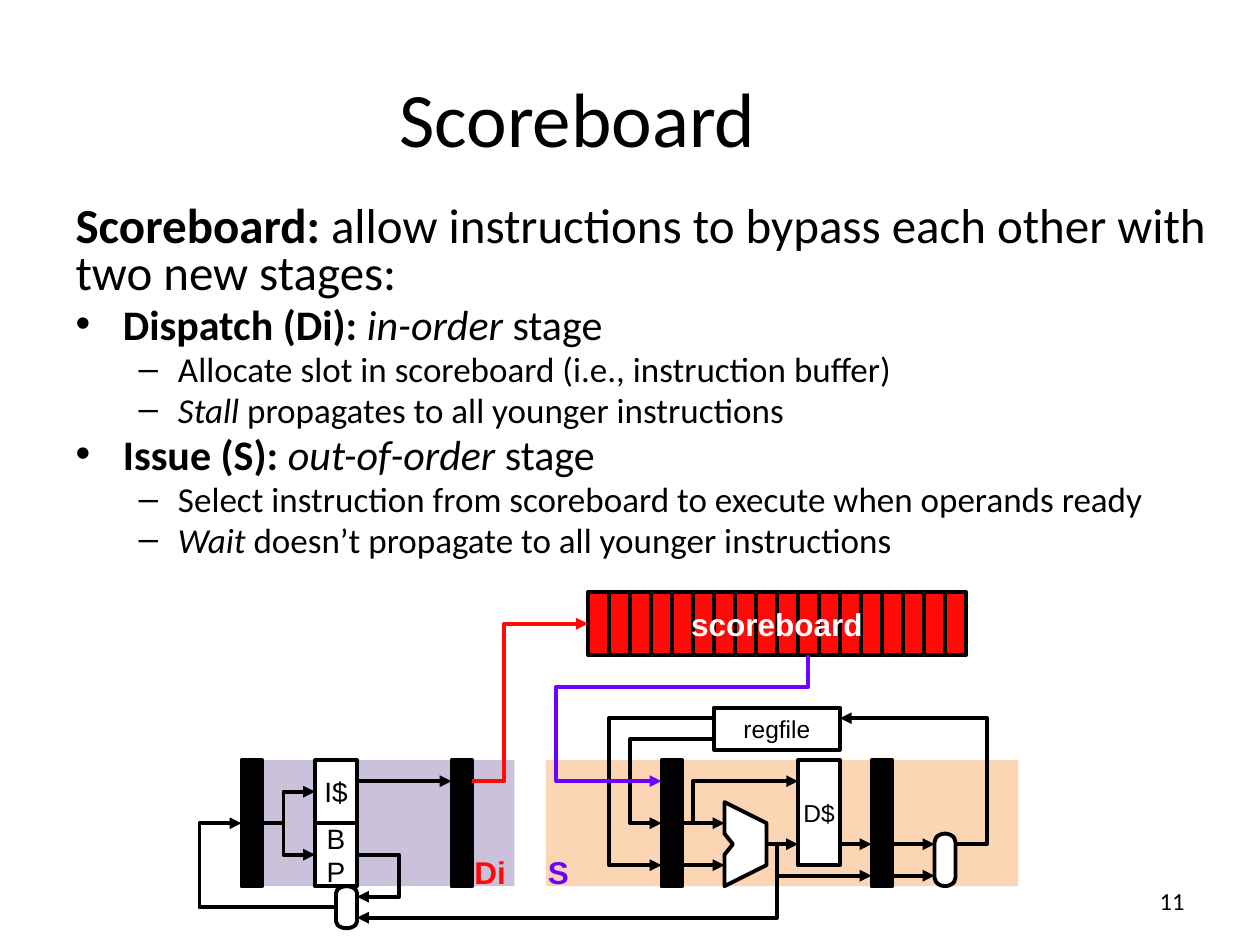
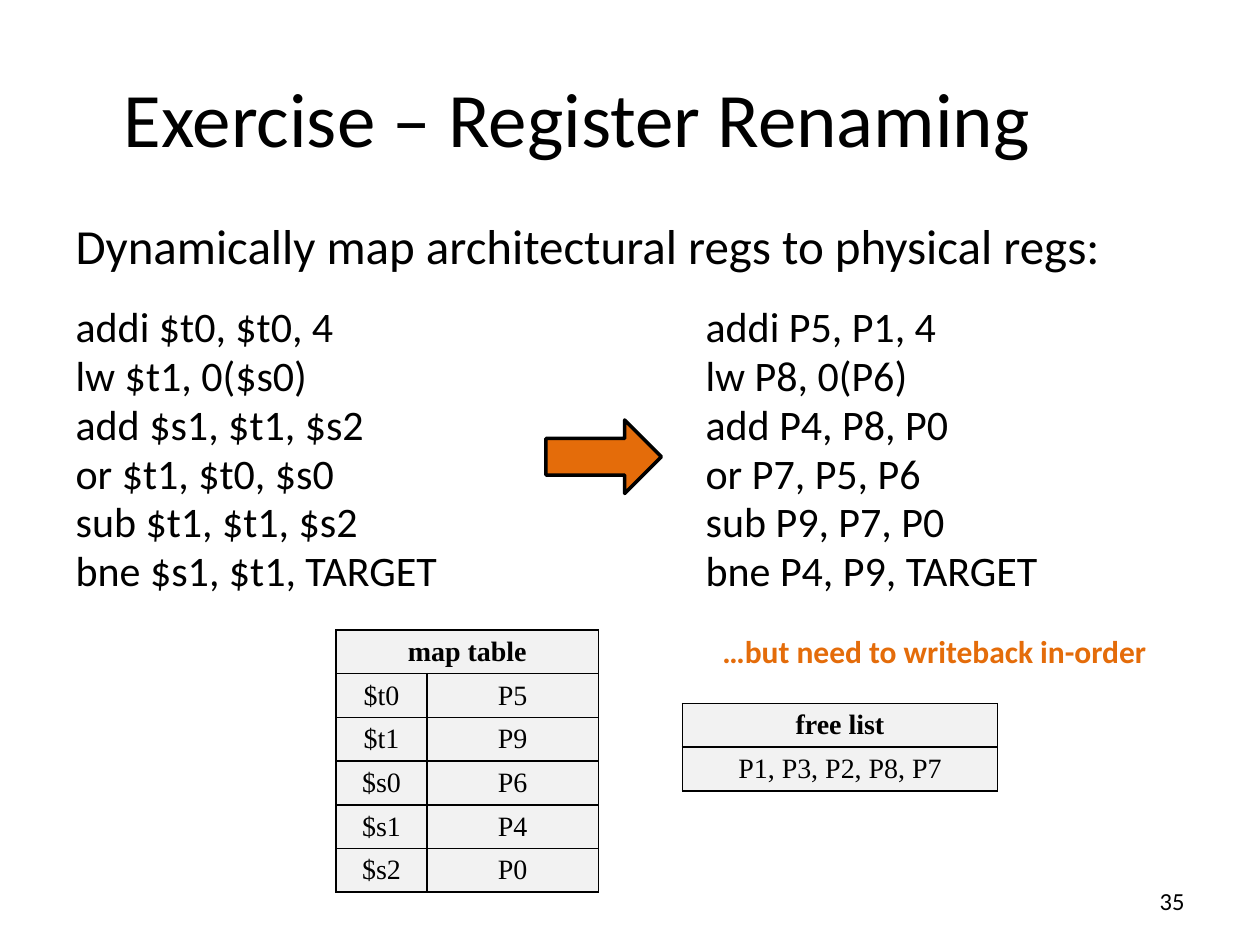
import pptx
import pptx.dml.color
import pptx.enum.shapes
import pptx.enum.text
import pptx.oxml.ns
import pptx.util
from lxml import etree

Pt = pptx.util.Pt
qn = pptx.oxml.ns.qn
rgb = pptx.dml.color.RGBColor.from_string
Preset = pptx.enum.shapes.MSO_SHAPE
Align = pptx.enum.text.PP_ALIGN
MIDDLE = pptx.enum.text.MSO_ANCHOR.MIDDLE

BLACK, WHITE = "000000", "FFFFFF"
RED, VIOLET, ORANGE = "FF0909", "6B02FF", "E46C0A"
PEACH, LILAC, GREY = "FCD5B5", "CCC1DA", "F2F2F2"
UNIT = 12
GRID_TOP = 2.4
LINE_WIDTH = 2.25


def paint(shape, fill, line=BLACK, width=LINE_WIDTH):
    shape.shadow.inherit = False
    if fill:
        shape.fill.solid()
        shape.fill.fore_color.rgb = rgb(fill)
    else:
        shape.fill.background()
    if line:
        shape.line.color.rgb = rgb(line)
        shape.line.width = Pt(width)
    else:
        shape.line.fill.background()


def draw_wire(shapes, grid_points, color=BLACK, arrow=True):
    points = [(Pt(x * UNIT), Pt(y * UNIT + GRID_TOP)) for x, y in grid_points]
    if len(points) == 2:
        wire = shapes.add_connector(pptx.enum.shapes.MSO_CONNECTOR.STRAIGHT, *points[0], *points[1])
        wire.line.color.rgb = rgb(color)
        wire.line.width = Pt(LINE_WIDTH)
        etree.SubElement(wire.element.spPr, qn("a:effectLst"))
    else:
        builder = shapes.build_freeform(*points[0])
        builder.add_line_segments(points[1:], close=False)
        wire = builder.convert_to_shape()
        paint(wire, None, color)
    if arrow:
        etree.SubElement(wire.element.spPr.find(qn("a:ln")), qn("a:tailEnd"), type="triangle")
    return wire


presentation = pptx.Presentation()
presentation.slide_width, presentation.slide_height = Pt(720), Pt(540)

slides = []
for title_text, number, body_box in [
    ("Scoreboard", "11", (36, 114, 678, 330)),
    ("Exercise – Register Renaming", "35", (36, 126, 648, 252)),
]:
    slide = presentation.slides.add_slide(presentation.slide_layouts[1])
    slides.append(slide)
    title, body = slide.shapes.title, slide.placeholders[1]
    for placeholder, box in [(title, (36, 21.6, 588, 90)), (body, body_box)]:
        placeholder.left, placeholder.top, placeholder.width, placeholder.height = map(Pt, box)
        placeholder.text_frame.auto_size = pptx.enum.text.MSO_AUTO_SIZE.NONE
    title.text_frame.text = title_text
    title.text_frame.vertical_anchor = MIDDLE
    number_box = slide.shapes.add_textbox(Pt(600), Pt(500.4), Pt(84), Pt(28.8))
    number_box.text_frame.text = number
    number_box.text_frame.word_wrap = True
    number_box.text_frame.vertical_anchor = MIDDLE
    for shape, size, alignment in [(title, 44, Align.CENTER), (number_box, 14, Align.RIGHT)]:
        paragraph = shape.text_frame.paragraphs[0]
        paragraph.alignment = alignment
        paragraph.font.name = "Calibri"
        paragraph.font.size = Pt(size)
        paragraph.font.color.rgb = rgb(BLACK)

scoreboard_slide, renaming_slide = slides

scoreboard_lines = [
    (None, 28, [("Scoreboard: ", "b"), ("allow instructions to bypass each other with two new stages:", "")]),
    (0, 24, [("Dispatch (Di): ", "b"), ("in-order", "i"), (" stage", "")]),
    (1, 20, [("Allocate slot in scoreboard (i.e., instruction buffer)", "")]),
    (1, 20, [("Stall", "i"), (" propagates to all younger instructions", "")]),
    (0, 24, [("Issue (S): ", "b"), ("out-of-order", "i"), (" stage", "")]),
    (1, 20, [("Select instruction from scoreboard to execute when operands ready", "")]),
    (1, 20, [("Wait", "i"), (" doesn’t propagate to all younger instructions", "")]),
]
instructions = [
    ("addi $t0, $t0, 4", "addi P5, P1, 4"),
    ("lw $t1, 0($s0)", "lw P8, 0(P6)"),
    ("add $s1, $t1, $s2", "add P4, P8, P0"),
    ("or $t1, $t0, $s0", "or P7, P5, P6"),
    ("sub $t1, $t1, $s2", "sub P9, P7, P0"),
    ("bne $s1, $t1, TARGET", "bne P4, P9, TARGET"),
]
renaming_lines = [(None, 28, [("Dynamically map architectural regs to physical regs:", "")])]
renaming_lines += [(None, 24, [("\t".join(pair), "")]) for pair in instructions]

for slide, lines in [(scoreboard_slide, scoreboard_lines), (renaming_slide, renaming_lines)]:
    frame = slide.placeholders[1].text_frame
    for index, (level, size, runs) in enumerate(lines):
        paragraph = frame.paragraphs[0] if index == 0 else frame.add_paragraph()
        paragraph.level = level or 0
        if level is None:
            properties = paragraph._p.get_or_add_pPr()
            properties.set("marL", "0")
            properties.set("indent", "0")
            properties.set("defTabSz", str(Pt(360)))
            etree.SubElement(properties, qn("a:buNone"))
        paragraph.line_spacing = 0.8
        if index == 0:
            paragraph.space_before = Pt(0)
        paragraph.font.name = "Calibri"
        paragraph.font.size = Pt(size)
        paragraph.font.color.rgb = rgb(BLACK)
        for text, emphasis in runs:
            run = paragraph.add_run()
            run.text = text
            if emphasis == "b":
                run.font.bold = True
            elif emphasis == "i":
                run.font.italic = True
renaming_slide.placeholders[1].text_frame.paragraphs[1].space_before = Pt(21)

shapes = scoreboard_slide.shapes
blocks = {}
for name, left, top, width, height, fill, line, text, size in [
    ("back end", 26, 36, 22.5, 6, PEACH, None, "", 0),
    ("front end", 12.5, 36, 12, 6, LILAC, None, "", 0),
    ("register file", 34, 33.5, 6, 2, WHITE, BLACK, "regfile", 14),
    ("data cache", 38, 36, 2, 5, WHITE, BLACK, "D$", 14),
    ("fetch latch", 11.5, 36, 1, 6, BLACK, BLACK, "", 0),
    ("dispatch latch", 21.5, 36, 1, 6, BLACK, BLACK, "", 0),
    ("issue latch", 31.5, 36, 1, 6, BLACK, BLACK, "", 0),
    ("writeback latch", 41.5, 36, 1, 6, BLACK, BLACK, "", 0),
    ("instruction cache", 15, 36, 2, 3, WHITE, BLACK, "I$", 16),
    ("branch predictor", 15, 39, 2, 3, WHITE, BLACK, "B\nP", 16),
]:
    block = shapes.add_shape(Preset.RECTANGLE, Pt(left * UNIT), Pt(top * UNIT + GRID_TOP),
                             Pt(width * UNIT), Pt(height * UNIT))
    blocks[name] = block
    paint(block, fill, line)
    if text:
        frame = block.text_frame
        frame.text = text
        frame.word_wrap = False
        frame.vertical_anchor = MIDDLE
        for paragraph in frame.paragraphs:
            paragraph.alignment = Align.CENTER
            paragraph.font.name = "Arial"
            paragraph.font.size = Pt(size)
            paragraph.font.color.rgb = rgb(BLACK)

alu_outline = [(Pt(x * UNIT), Pt(y * UNIT + GRID_TOP)) for x, y in [
    (34.5, 38), (34.5, 39.5), (34.9, 40), (34.5, 40.5), (34.5, 42), (36.5, 41), (36.5, 39)]]
alu_builder = shapes.build_freeform(*alu_outline[0])
alu_builder.add_line_segments(alu_outline[1:])
paint(alu_builder.convert_to_shape(), WHITE)

for left, top, length in [(43.75, 40.25, 2.5), (15.5, 42.5, 2)]:
    selector = shapes.add_shape(Preset.FLOWCHART_TERMINATOR, Pt(left * UNIT),
                                Pt(top * UNIT + GRID_TOP), Pt(length * UNIT), Pt(UNIT))
    selector.rotation = 90
    paint(selector, WHITE)

for grid_points in [
    [(42.5, 40), (44.5, 40)],
    [(42.5, 41.5), (44.5, 41.5)],
    [(40, 40), (41.5, 40)],
    [(32.5, 41), (34.5, 41)],
    [(36.5, 40), (38, 40)],
    [(17, 37), (21.5, 37)],
    [(33, 39), (33, 37), (38, 37)],
    [(37, 40), (37, 41.5), (41.5, 41.5)],
    [(34, 35), (30, 35), (30, 39), (31.5, 39)],
    [(34, 34), (29, 34), (29, 41), (31.5, 41)],
    [(13.5, 39.5), (13.5, 37.5), (15, 37.5)],
    [(13.5, 39.5), (13.5, 40.5), (15, 40.5)],
    [(17, 40.5), (19, 40.5), (19, 42.5), (17, 42.5)],
    [(37, 40), (37, 43.5), (17, 43.5)],
    [(16, 43), (9.5, 43), (9.5, 39), (11.5, 39)],
    [(45.5, 40), (47, 40), (47, 34), (40, 34)],
]:
    draw_wire(shapes, grid_points)
draw_wire(shapes, [(32.5, 39), (34.5, 39)]).begin_connect(blocks["issue latch"], 3)
draw_wire(shapes, [(12.5, 39), (13.5, 39)], arrow=False).begin_connect(blocks["fetch latch"], 3)

for slot in range(18):
    entry = shapes.add_shape(Preset.RECTANGLE, Pt((28 + slot) * UNIT), Pt(28 * UNIT + GRID_TOP),
                             Pt(UNIT), Pt(3 * UNIT))
    paint(entry, RED)
draw_wire(shapes, [(22.5, 37), (24, 37), (24, 29.5), (28, 29.5)], RED)
draw_wire(shapes, [(38.5, 31), (38.5, 32.5), (26.5, 32.5), (26.5, 37), (31.5, 37)], VIOLET)

for slide, text, box, font_name, color, alignment, wrap in [
    (scoreboard_slide, "scoreboard", (336, 338.4, 216, 36), "Arial", WHITE, Align.CENTER, False),
    (scoreboard_slide, "S", (306, 483.5, 26.6, 29), "Arial", VIOLET, Align.LEFT, False),
    (scoreboard_slide, "Di", (264, 483.5, 32.4, 29), "Arial", RED, Align.LEFT, False),
    (renaming_slide, "…but need to writeback in-order", (402, 354, 264, 36), "Calibri", ORANGE,
     Align.CENTER, True),
]:
    label = slide.shapes.add_textbox(*map(Pt, box))
    label.text_frame.text = text
    label.text_frame.word_wrap = wrap
    label.text_frame.vertical_anchor = MIDDLE
    paragraph = label.text_frame.paragraphs[0]
    paragraph.alignment = alignment
    paragraph.font.name = font_name
    paragraph.font.size = Pt(18)
    paragraph.font.bold = True
    paragraph.font.color.rgb = rgb(color)

renaming_arrow = renaming_slide.shapes.add_shape(Preset.RIGHT_ARROW, Pt(312), Pt(240), Pt(66), Pt(42))
paint(renaming_arrow, ORANGE, BLACK, 2)

ROW_HEIGHT = 25
for left, top, column_widths, rows in [
    (192, 360, [52, 98], [["map table"], ["$t0", "P5"], ["$t1", "P9"], ["$s0", "P6"],
                          ["$s1", "P4"], ["$s2", "P0"]]),
    (390, 402, [180], [["free list"], ["P1, P3, P2, P8, P7"]]),
]:
    table = renaming_slide.shapes.add_table(
        len(rows), len(column_widths), Pt(left), Pt(top),
        Pt(sum(column_widths)), Pt(ROW_HEIGHT * len(rows))).table
    table.first_row = table.horz_banding = False
    for column, width in zip(table.columns, column_widths):
        column.width = Pt(width)
    for row in table.rows:
        row.height = Pt(ROW_HEIGHT)
    for cell in table.iter_cells():
        cell.vertical_anchor = MIDDLE
        cell.margin_top = cell.margin_bottom = Pt(2.5)
        for side in ("a:lnL", "a:lnR", "a:lnT", "a:lnB"):
            border = etree.SubElement(cell._tc.get_or_add_tcPr(), qn(side), w=str(Pt(1)))
            border_fill = etree.SubElement(border, qn("a:solidFill"))
            etree.SubElement(border_fill, qn("a:srgbClr"), val=BLACK)
        cell.fill.solid()
        cell.fill.fore_color.rgb = rgb(GREY)
    for row_index, texts in enumerate(rows):
        for column_index, text in enumerate(texts):
            cell = table.cell(row_index, column_index)
            cell.text = text
            paragraph = cell.text_frame.paragraphs[0]
            paragraph.alignment = Align.CENTER
            paragraph.font.name = "Times New Roman"
            paragraph.font.size = Pt(16)
            paragraph.font.bold = row_index == 0
            paragraph.font.color.rgb = rgb(BLACK)
    if len(column_widths) > 1:
        table.cell(0, 0).merge(table.cell(0, len(column_widths) - 1))

presentation.save("out.pptx")
